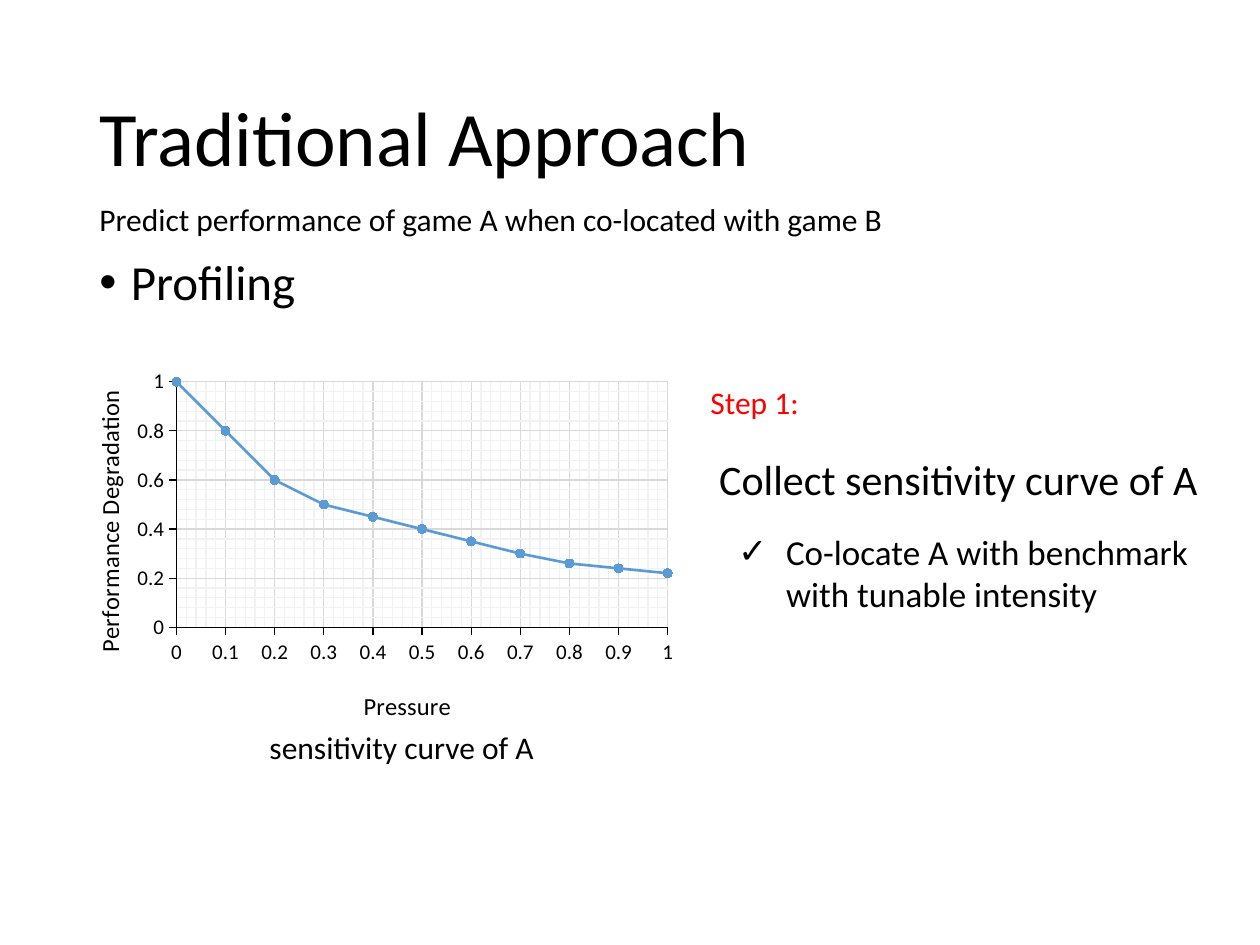
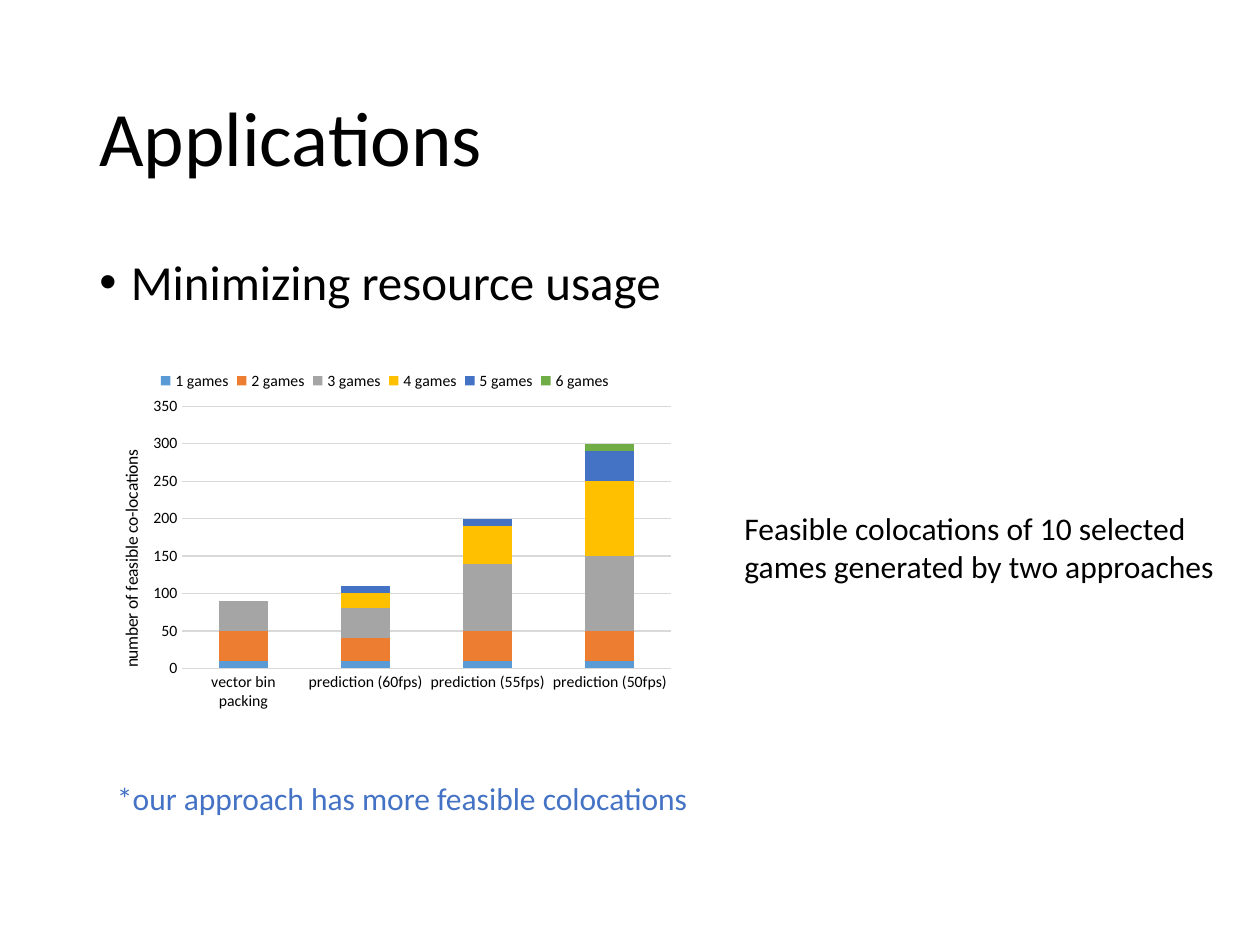
from dataclasses import dataclass

from lxml import etree
from pptx import Presentation
from pptx.chart.data import CategoryChartData, XyChartData
from pptx.dml.color import RGBColor
from pptx.enum.chart import XL_CHART_TYPE, XL_LEGEND_POSITION, XL_MARKER_STYLE, XL_TICK_MARK
from pptx.enum.text import MSO_ANCHOR
from pptx.oxml.ns import qn
from pptx.util import Inches, Pt

SMOOTH_SCATTER = XL_CHART_TYPE.XY_SCATTER_SMOOTH
STACKED_COLUMNS = XL_CHART_TYPE.COLUMN_STACKED
LEGEND_TOP = XL_LEGEND_POSITION.TOP
CIRCLE = XL_MARKER_STYLE.CIRCLE
TICK_OUTSIDE, TICK_NONE = XL_TICK_MARK.OUTSIDE, XL_TICK_MARK.NONE
MIDDLE, TOP = MSO_ANCHOR.MIDDLE, MSO_ANCHOR.TOP


@dataclass(frozen=True)
class Theme:
    font: str = "Calibri"
    text: str = "000000"
    step: str = "FF0000"
    remark: str = "4472C4"
    grid: str = "D9D9D9"
    minor_grid: str = "F2F2F2"
    series: tuple = ("5B9BD5", "ED7D31", "A5A5A5", "FFC000", "4472C4", "70AD47")
    title_size: int = 44
    bullet_size: int = 28
    heading_size: int = 24
    detail_size: int = 20
    body_size: int = 18
    curve_title_size: int = 14
    curve_label_size: int = 12
    column_title_size: int = 10
    column_label_size: int = 9


THEME = Theme()


def style_font(font, size, color=THEME.text):
    font.name = THEME.font
    font.size = Pt(size)
    font.bold = False
    font.color.rgb = RGBColor.from_string(color)


def style_line(line, color, width=0.75):
    line.color.rgb = RGBColor.from_string(color)
    line.width = Pt(width)


def set_bullet(paragraph, mark, indent):
    properties = paragraph._p.get_or_add_pPr()
    properties.set("marL", str(Inches(indent)))
    properties.set("indent", str(-Inches(indent)))
    font = etree.SubElement(properties, qn("a:buFont"))
    font.set("typeface", "Arial")
    etree.SubElement(properties, qn("a:buChar")).set("char", mark)


def add_text(slide, box, text, size, color=THEME.text, wrap=True,
             anchor=TOP, line_spacing=None, bullet=None):
    shape = slide.shapes.add_textbox(*map(Inches, box))
    frame = shape.text_frame
    frame.word_wrap = wrap
    frame.vertical_anchor = anchor
    paragraph = frame.paragraphs[0]
    if line_spacing:
        paragraph.line_spacing = line_spacing
    if bullet:
        set_bullet(paragraph, *bullet)
    run = paragraph.add_run()
    run.text = text
    style_font(run.font, size, color)


def add_topic_slide(presentation, title, topic):
    slide = presentation.slides.add_slide(presentation.slide_layouts[6])
    add_text(slide, (0.69, 0.4, 8.62, 1.45), title, THEME.title_size,
             anchor=MIDDLE, line_spacing=0.9)
    add_text(slide, (0.69, 2, 9.25, 0.67), topic, THEME.bullet_size,
             line_spacing=0.9, bullet=("•", 0.25))
    return slide


def place(element, inner=False, **fractions):
    for existing in element.findall(qn("c:layout")):
        element.remove(existing)
    layout = etree.Element(qn("c:layout"))
    manual = etree.SubElement(layout, qn("c:manualLayout"))
    if inner:
        etree.SubElement(manual, qn("c:layoutTarget")).set("val", "inner")
    for side in "xy":
        etree.SubElement(manual, qn(f"c:{side}Mode")).set("val", "edge")
    for key, fraction in fractions.items():
        etree.SubElement(manual, qn(f"c:{key}")).set("val", str(fraction))
    overlay = element.find(qn("c:overlay"))
    if overlay is None:
        element.insert(0, layout)
    else:
        overlay.addprevious(layout)


def add_chart(slide, kind, box, data, plot_area):
    chart = slide.shapes.add_chart(kind, *map(Inches, box), data).chart
    chart.has_title = False
    chart.has_legend = False
    style_font(chart.font, THEME.column_title_size)
    chart.plots[0].vary_by_categories = False
    place(chart._chartSpace.find(".//" + qn("c:plotArea")), inner=True, **plot_area)
    return chart


def style_axis(axis, label_size, tick, line_color=None, grid=False):
    axis.major_tick_mark = tick
    axis.minor_tick_mark = TICK_NONE
    style_font(axis.tick_labels.font, label_size)
    if line_color:
        style_line(axis.format.line, line_color)
    else:
        axis.format.line.fill.background()
    axis.has_major_gridlines = grid
    if grid:
        style_line(axis.major_gridlines.format.line, THEME.grid)


def add_minor_grid(axis):
    axis.has_minor_gridlines = True
    element = axis._element.find(qn("c:minorGridlines"))
    line = etree.SubElement(etree.SubElement(element, qn("c:spPr")), qn("a:ln"))
    line.set("w", str(Pt(0.75)))
    fill = etree.SubElement(line, qn("a:solidFill"))
    etree.SubElement(fill, qn("a:srgbClr")).set("val", THEME.minor_grid)


def set_axis_title(axis, text, size, x, y, vertical=False):
    title = axis.axis_title
    frame = title.text_frame
    run = frame.paragraphs[0].add_run()
    run.text = text
    style_font(run.font, size)
    if vertical:
        frame._txBody.bodyPr.set("rot", "-5400000")
    place(title._element, x=x, y=y)


def add_sensitivity_chart(slide):
    degradation = (1, 0.8, 0.6, 0.5, 0.45, 0.4, 0.35, 0.3, 0.26, 0.24, 0.22)
    data = XyChartData()
    points = data.add_series("Series 1")
    for step, value in enumerate(degradation):
        points.add_data_point(step / 10, value)
    chart = add_chart(slide, SMOOTH_SCATTER, (0.45, 2.88, 5, 3), data,
                      dict(x=0.19, y=0.05, w=0.78, h=0.65))

    for axis, unit in ((chart.category_axis, 0.1), (chart.value_axis, 0.2)):
        style_axis(axis, THEME.curve_label_size, TICK_OUTSIDE, THEME.text, grid=True)
        axis.minimum_scale, axis.maximum_scale = 0, 1
        axis.major_unit, axis.minor_unit = unit, unit / 5
        add_minor_grid(axis)
        axis.tick_labels.number_format = "General"
        axis.tick_labels.number_format_is_linked = False
    set_axis_title(chart.category_axis, "Pressure", THEME.curve_title_size, 0.48, 0.85)
    set_axis_title(chart.value_axis, "Performance Degradation", THEME.curve_title_size,
                   0.05, 0.06, vertical=True)

    curve = chart.plots[0].series[0]
    curve.smooth = True
    style_line(curve.format.line, THEME.series[0], 1.5)
    curve.marker.style = CIRCLE
    curve.marker.size = 5
    curve.marker.format.fill.solid()
    curve.marker.format.fill.fore_color.rgb = RGBColor.from_string(THEME.series[0])
    style_line(curve.marker.format.line, THEME.series[0])


def add_colocation_chart(slide):
    data = CategoryChartData()
    data.categories = ["vector bin packing"] + [
        f"prediction ({rate}fps)" for rate in (60, 55, 50)]
    counts = (
        (10, 10, 10, 10),
        (40, 30, 40, 40),
        (40, 40, 90, 100),
        (0, 20, 50, 100),
        (None, 10, 10, 40),
        (None, None, None, 10),
    )
    for games, values in enumerate(counts, start=1):
        data.add_series(f"{games} games", values)
    chart = add_chart(slide, STACKED_COLUMNS, (0.69, 2.82, 4.73, 2.89), data,
                      dict(x=0.16, y=0.14, w=0.82, h=0.72))

    style_axis(chart.category_axis, THEME.column_label_size, TICK_NONE, THEME.grid)
    style_axis(chart.value_axis, THEME.column_label_size, TICK_NONE, grid=True)
    chart.value_axis.minimum_scale, chart.value_axis.maximum_scale = 0, 350
    chart.value_axis.major_unit = 50
    set_axis_title(chart.value_axis, "number of feasible co-locations",
                   THEME.column_title_size, 0.05, 0.25, vertical=True)

    chart.has_legend = True
    chart.legend.position = LEGEND_TOP
    chart.legend.include_in_layout = False
    style_font(chart.legend.font, THEME.column_label_size)
    place(chart.legend._element, x=0.11, y=0.03, w=0.78, h=0.08)

    plot = chart.plots[0]
    plot.gap_width, plot.overlap = 150, 100
    for series, color in zip(plot.series, THEME.series):
        series.format.fill.solid()
        series.format.fill.fore_color.rgb = RGBColor.from_string(color)


def add_approach_slide(presentation):
    slide = add_topic_slide(presentation, "Traditional Approach", "Profiling")
    add_sensitivity_chart(slide)
    add_text(slide, (5.61, 3.55, 4.24, 0.5), "Collect sensitivity curve of A",
             THEME.heading_size)
    add_text(slide, (5.76, 4.16, 4.18, 0.77),
             "Co-locate A with benchmark with tunable intensity",
             THEME.detail_size, bullet=("✓", 0.38))
    add_text(slide, (2.04, 5.73, 2.32, 0.4), "sensitivity curve of A",
             THEME.body_size, wrap=False)
    add_text(slide, (0.69, 1.54, 6.49, 0.4),
             "Predict performance of game A when co-located with game B",
             THEME.body_size, wrap=False)
    add_text(slide, (5.54, 2.99, 1.03, 0.4), "Step 1:", THEME.body_size, THEME.step)


def add_applications_slide(presentation):
    slide = add_topic_slide(presentation, "Applications", "Minimizing resource usage")
    add_text(slide, (0.83, 6.13, 7.11, 0.4),
             "*our approach has more feasible colocations", THEME.body_size, THEME.remark)
    add_colocation_chart(slide)
    add_text(slide, (5.81, 3.99, 3.99, 0.71),
             "Feasible colocations of 10 selected games generated by two approaches",
             THEME.body_size)


def main():
    presentation = Presentation()
    presentation.slide_width = Inches(10)
    presentation.slide_height = Inches(7.5)
    add_approach_slide(presentation)
    add_applications_slide(presentation)
    presentation.save("out.pptx")


if __name__ == "__main__":
    main()
